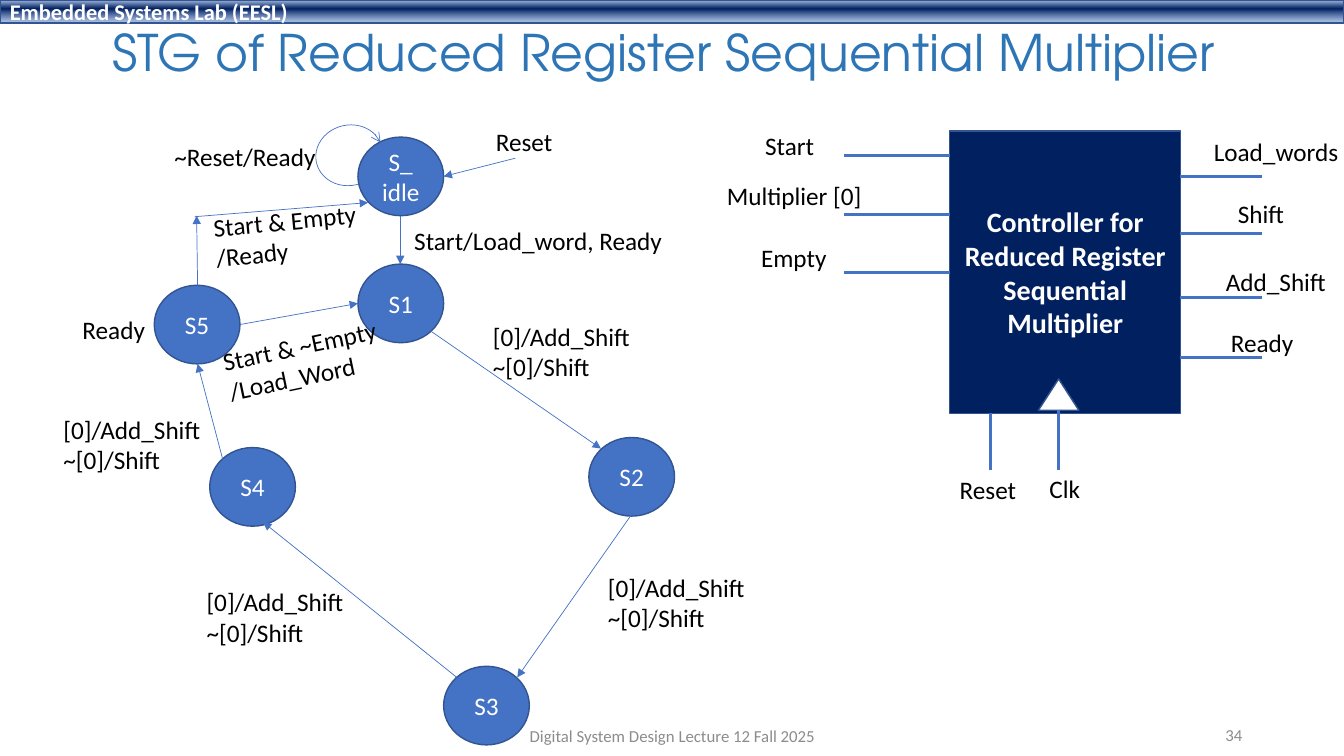
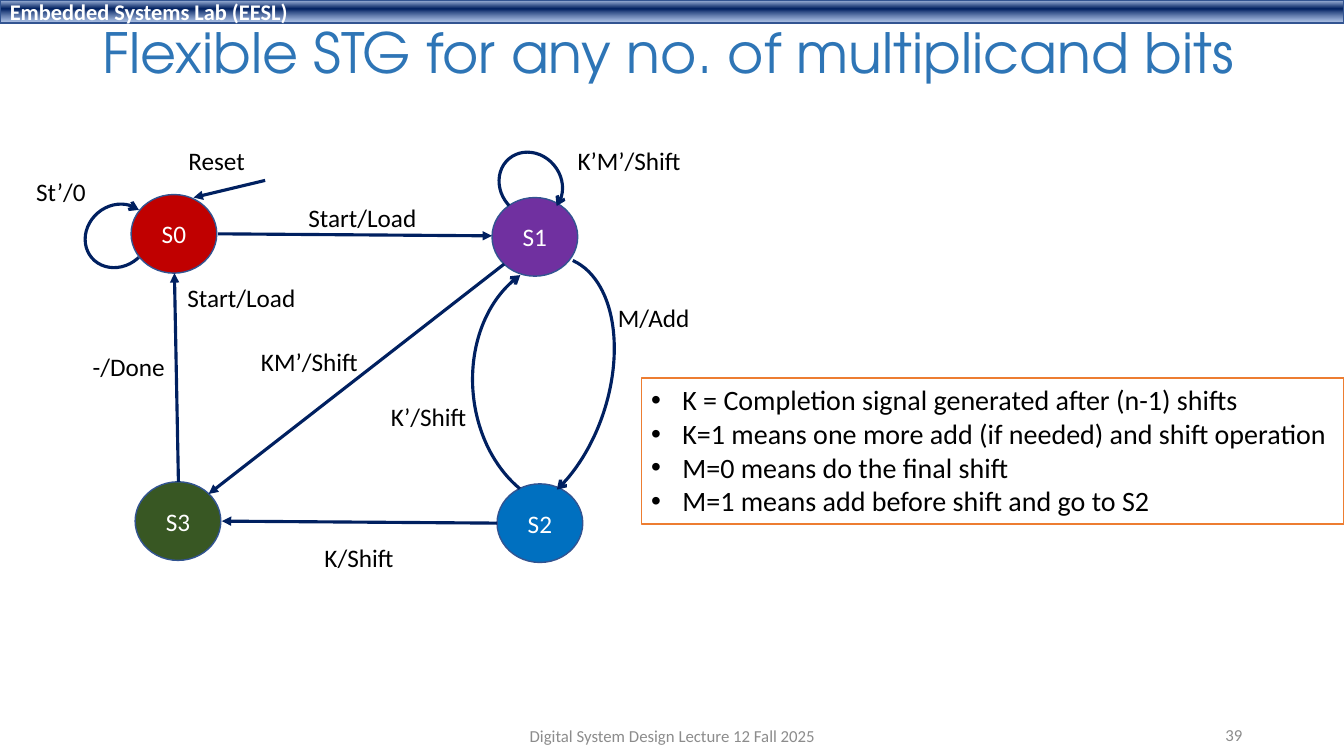
"""Build two slides on state transition graphs of a sequential multiplier."""
from dataclasses import dataclass

from lxml.etree import SubElement
from pptx import Presentation
from pptx.dml.color import RGBColor
from pptx.enum.shapes import MSO_CONNECTOR as LINE, MSO_SHAPE as SHAPE
from pptx.enum.text import MSO_ANCHOR as ANCHOR, MSO_AUTO_SIZE as FIT, PP_ALIGN as ALIGN
from pptx.oxml.ns import qn
from pptx.util import Inches, Pt


@dataclass(frozen=True)
class Theme:
    body: str = "Calibri"
    head: str = "TeX Gyre Adventor"
    white: str = "FFFFFF"
    black: str = "000000"
    navy: str = "002060"
    blue: str = "4472C4"
    outline: str = "325491"
    title: str = "2E75B6"
    grey: str = "8C8C8C"
    orange: str = "ED7D31"
    purple: str = "7030A0"
    azure: str = "0070C0"
    green: str = "385723"
    red: str = "C00000"
    small: float = 12
    band: float = 16
    label: float = 18
    large: float = 20
    thin: float = 0.5
    edge: float = 1
    thick: float = 2.25


T = Theme()


def write(sp, text, size=T.label, color=T.black, font=T.body, bold=False,
          align=ALIGN.LEFT, anchor=ANCHOR.TOP, wrap=True, grow=False,
          spacing=None, bullet=None):
    tf = sp.text_frame
    tf.word_wrap = wrap
    tf.vertical_anchor = anchor
    tf.auto_size = FIT.SHAPE_TO_FIT_TEXT if grow else FIT.NONE
    for i, line in enumerate(text.split("\n")):
        p = tf.paragraphs[0] if i == 0 else tf.add_paragraph()
        p.alignment = align
        if spacing:
            p.line_spacing = spacing
        if bullet:
            pPr = p._p.get_or_add_pPr()
            pPr.set("marL", str(Inches(0.31)))
            pPr.set("indent", str(-Inches(0.31)))
            SubElement(pPr, qn("a:buFont"), typeface="Arial")
            SubElement(pPr, qn("a:buChar"), char=bullet)
        r = p.add_run()
        r.text = line
        r.font.name, r.font.size, r.font.bold = font, Pt(size), bold
        r.font.color.rgb = RGBColor.from_string(color)


def stroke(sp, color=T.outline, width=T.edge, fill=None, head=None):
    sp.line.color.rgb = RGBColor.from_string(color)
    sp.line.width = Pt(width)
    if fill:
        sp.fill.solid()
        sp.fill.fore_color.rgb = RGBColor.from_string(fill)
    if hasattr(sp, "shadow"):
        sp.shadow.inherit = False
    else:
        SubElement(sp.element.spPr, qn("a:effectLst"))
    if head:
        SubElement(sp.element.spPr.find(qn("a:ln")), qn("a:tailEnd"), type=head)


SHIFTS = "[0]/Add_Shift\n~[0]/Shift"
PAGES = [
    dict(
        title="STG of Reduced Register Sequential Multiplier",
        title_at=(1.02, 0.11, 11.5, 0.87), title_size=36, number="34",
        color=T.blue, width=T.thin,
        states=[("S1", 3.55, 2.62, T.blue), ("S4", 2.08, 4.44, T.blue),
                ("S3", 4.4, 6.61, T.blue), ("S5", 1.53, 2.83, T.blue),
                ("S_\nidle", 3.55, 1.36, T.blue), ("S2", 5.84, 4.34, T.blue)],
        arrows=[(5.11, 1.57, 4.4, 1.75), (3.97, 2.14, 3.97, 2.62),
                (4.28, 3.29, 5.96, 4.45), (6.26, 5.11, 5.13, 6.72),
                (4.53, 6.72, 2.61, 5.18), (2.21, 4.56, 1.96, 3.61),
                (2.38, 3.22, 3.55, 3.01), (1.96, 2.83, 1.95, 2.14),
                (1.93, 2.15, 3.65, 2.01)],
        arcs=[(3.13, 1.24, 0.67, 0.6, 167.3, 159.7, 102.03)],
        labels=[("Reset", 4.82, 1.2, 0.77, 0),
                ("Start/Load_word, Ready", 4.01, 2.19, 2.69, 0),
                (SHIFTS, 4.79, 3.14, 1.58, 0), (SHIFTS, 1.95, 5.77, 1.58, 0),
                (SHIFTS, 0.53, 4.06, 1.58, 0), (SHIFTS, 5.93, 5.63, 1.58, 0),
                ("Start & ~Empty\n/Load_Word", 2.13, 3.22, 1.79, 348.1),
                ("Start & Empty\n/Ready", 2.03, 1.98, 1.79, 354.6),
                ("~Reset/Ready", 1.63, 1.35, 1.62, 0),
                ("Ready", 0.72, 3.07, 0.83, 0),
                ("Start", 7.49, 1.24, 0.69, 0),
                ("Multiplier [0]", 7.11, 1.74, 1.55, 0),
                ("Empty", 7.45, 2.36, 0.86, 0),
                ("Load_words", 11.94, 1.3, 1.45, 0),
                ("Shift", 12.18, 1.92, 0.67, 0),
                ("Add_Shift", 12.06, 2.59, 1.21, 0),
                ("Ready", 12.11, 3.2, 0.83, 0),
                ("Reset", 9.42, 4.66, 0.77, 0),
                ("Clk", 10.31, 4.65, 0.51, 0)]),
    dict(
        title="Flexible STG for any no. of multiplicand bits",
        title_at=(0.92, 0.12, 11.84, 0.86), title_size=39.6, number="39",
        color=T.navy, width=T.thick,
        states=[("S1", 4.88, 1.96, T.purple), ("S2", 4.93, 4.8, T.azure),
                ("S3", 1.34, 4.78, T.green), ("S0", 1.3, 1.93, T.red)],
        arrows=[(2.63, 1.79, 1.92, 1.96), (2.16, 2.32, 4.88, 2.34),
                (5, 2.62, 2.07, 4.9), (4.93, 5.19, 2.2, 5.17),
                (1.77, 4.78, 1.73, 2.71)],
        arcs=[(4.93, 1.53, 0.67, 0.6, 229.8, 159.7, 102.03),
              (0.83, 2.04, 0.67, 0.6, 139.4, 159.7, 102.03),
              (4.42, 2.85, 2.48, 1.94, 264.6, 126.91, 204.48),
              (3.89, 3.02, 2.66, 1.62, 107.9, 109.44, 195.4)],
        labels=[("Reset", 1.77, 1.39, 0.77, 0),
                ("Start/Load", 1.76, 2.75, 1.28, 0),
                ("Start/Load", 2.96, 1.96, 1.28, 0),
                ("-/Done", 0.82, 3.44, 0.93, 0),
                ("St’/0", 0.26, 1.7, 0.7, 0),
                ("M/Add", 6.03, 2.95, 0.92, 0),
                ("K’/Shift", 3.78, 3.93, 0.96, 0),
                ("K/Shift", 3.12, 5.33, 0.9, 0),
                ("KM’/Shift", 2.49, 3.39, 1.18, 0),
                ("K’M’/Shift", 5.63, 1.39, 1.24, 0)]),
]

prs = Presentation()
prs.slide_width, prs.slide_height = Inches(13.33), Inches(7.5)
blank = prs.slide_layouts[6]
slides = [prs.slides.add_slide(blank) for _ in PAGES]

band = slides[0].shapes.add_shape(SHAPE.RECTANGLE, 0, 0, prs.slide_width, Inches(0.23))
stroke(band)
band.fill.gradient()
band.fill.gradient_angle = 270
stops = band.element.spPr.find(qn("a:gradFill")).find(qn("a:gsLst"))
stops.clear()
for pos, color, alpha in [(2, "ABC0E4", 100), (38, T.navy, 100), (93, "7E9ED6", 64)]:
    stop = SubElement(stops, qn("a:gs"), pos=str(pos * 1000))
    clr = SubElement(stop, qn("a:srgbClr"), val=color)
    SubElement(clr, qn("a:alpha"), val=str(alpha * 1000))
write(band, "Embedded Systems Lab (EESL)", size=T.band, color=T.white, bold=True,
      anchor=ANCHOR.MIDDLE)
blank.shapes.element.append(band.element)

for slide, page in zip(slides, PAGES):
    shapes = slide.shapes
    title = shapes.add_textbox(*map(Inches, page["title_at"]))
    write(title, page["title"], size=page["title_size"], color=T.title, font=T.head,
          anchor=ANCHOR.MIDDLE, spacing=0.9)

    for name, x, y, fill in page["states"]:
        state = shapes.add_shape(SHAPE.OVAL, Inches(x), Inches(y), Inches(0.85), Inches(0.78))
        stroke(state, fill=fill)
        write(state, name, color=T.white, align=ALIGN.CENTER, anchor=ANCHOR.MIDDLE)

    for ends in page["arrows"]:
        arrow = shapes.add_connector(LINE.STRAIGHT, *map(Inches, ends))
        stroke(arrow, page["color"], page["width"], head="triangle")

    for x, y, w, h, angle, start, end in page["arcs"]:
        arc = shapes.add_shape(SHAPE.ARC, Inches(x), Inches(y), Inches(w), Inches(h))
        arc.rotation = angle
        arc.adjustments[0], arc.adjustments[1] = start, end
        arc.fill.background()
        stroke(arc, page["color"], page["width"], head="arrow")

    for text, x, y, w, angle in page["labels"]:
        h = 0.71 if "\n" in text else 0.4
        label = shapes.add_textbox(Inches(x), Inches(y), Inches(w), Inches(h))
        label.rotation = angle
        write(label, text, wrap=bool(angle), grow=True)

    for text, x, y, w, align in [
            ("Digital System Design Lecture 12 Fall 2025", 4.42, 7.1, 4.5, ALIGN.CENTER),
            (page["number"], 9.42, 7.09, 3, ALIGN.RIGHT)]:
        footer = shapes.add_textbox(Inches(x), Inches(y), Inches(w), Inches(0.4))
        write(footer, text, size=T.small, color=T.grey, align=align, anchor=ANCHOR.MIDDLE)

shapes = slides[0].shapes
controller = shapes.add_shape(SHAPE.RECTANGLE, Inches(9.42), Inches(1.3),
                              Inches(2.29), Inches(2.8))
stroke(controller, fill=T.navy)
write(controller, "Controller for Reduced Register Sequential Multiplier", size=T.large,
      color=T.white, bold=True, align=ALIGN.CENTER, anchor=ANCHOR.MIDDLE)
clock = shapes.add_shape(SHAPE.ISOSCELES_TRIANGLE, Inches(10.3), Inches(3.76),
                         Inches(0.4), Inches(0.31))
stroke(clock, fill=T.white)

inputs = [(8.37, y, 9.42, y) for y in (1.54, 2.13, 2.7)]
outputs = [(11.7, y, 12.52, y) for y in (1.75, 2.32, 2.95, 3.55)]
controls = [(10.5, 4.07, 10.5, 4.66), (9.82, 4.1, 9.82, 4.66)]
for ends in inputs + outputs + controls:
    wire = shapes.add_connector(LINE.STRAIGHT, *map(Inches, ends))
    stroke(wire, T.blue, T.thick)
    if ends == inputs[-1]:
        wire.end_connect(controller, 1)

legend = slides[1].shapes.add_textbox(Inches(6.36), Inches(3.75), Inches(6.97), Inches(1.45))
stroke(legend, T.orange, fill=T.white)
write(legend, "K = Completion signal generated after (n-1) shifts\n"
      "K=1 means one more add (if needed) and shift operation\n"
      "M=0 means do the final shift\n"
      "M=1 means add before shift and go to S2",
      size=T.large, wrap=False, grow=True, bullet="•")

prs.save("out.pptx")
